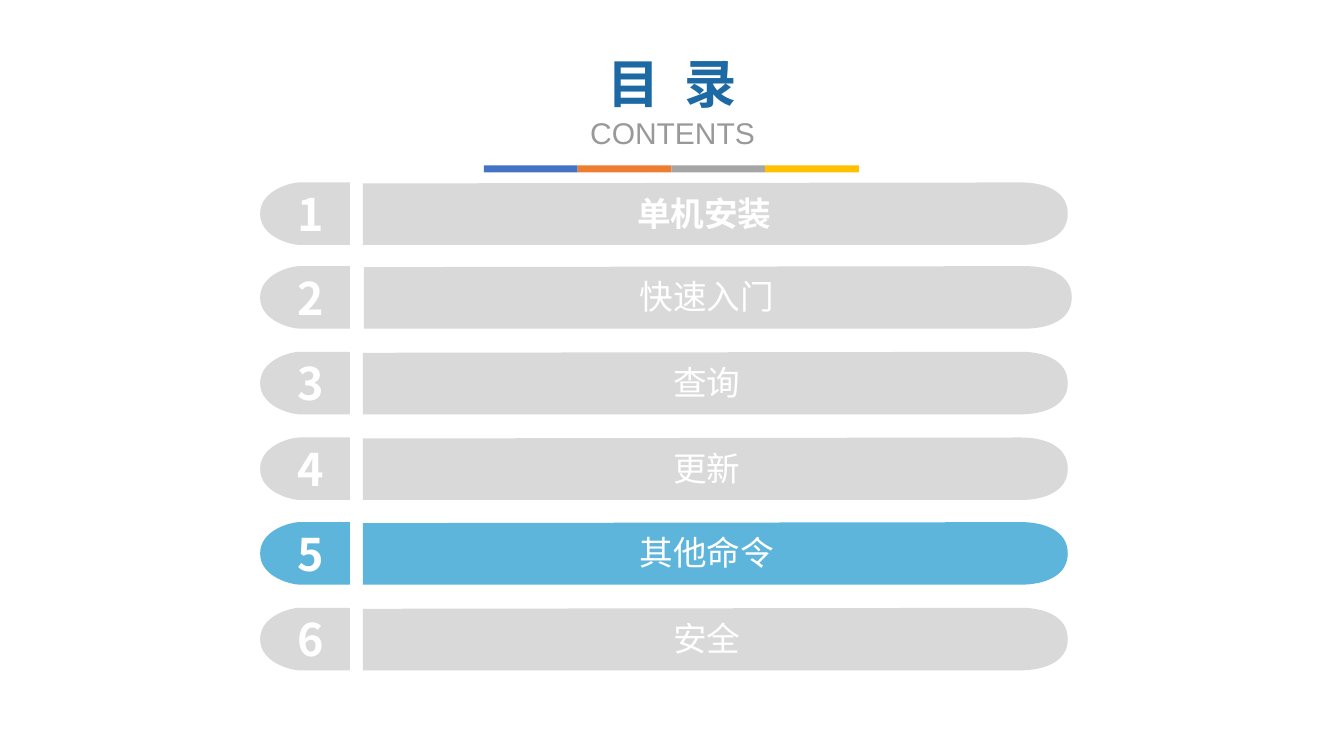
from dataclasses import dataclass

from pptx import Presentation
from pptx.dml.color import RGBColor
from pptx.enum.shapes import MSO_SHAPE
from pptx.enum.text import MSO_ANCHOR, PP_ALIGN
from pptx.oxml.ns import qn
from pptx.util import Pt

RECT = MSO_SHAPE.RECTANGLE
CENTER = PP_ALIGN.CENTER
TOP = MSO_ANCHOR.TOP
MIDDLE = MSO_ANCHOR.MIDDLE
PX = 9144  # EMU per px, 100 px to the inch


@dataclass(frozen=True)
class Theme:
    title: str = "1D69A3"
    subtitle: str = "999999"
    idle: str = "D9D9D9"
    active: str = "5DB5DB"
    white: str = "FFFFFF"
    strip: tuple = ("4472C4", "ED7D31", "A5A5A5", "FFC000")
    title_font: str = "Roboto Condensed"
    subtitle_font: str = "Arial"
    body_font: str = "Noto Sans CJK SC"
    title_size: float = 37.4
    subtitle_size: float = 21.4
    number_size: float = 32
    label_size: float = 24


THEME = Theme()

# label, top of the row, left and right edge of its bar, left and width of its label
ROWS = [
    ("单机安装", 181, 360, 1059, 366, 665),
    ("快速入门", 264, 361, 1063, 366, 670),
    ("查询", 349, 360, 1059, 364, 674),
    ("更新", 434, 360, 1059, 364, 674),
    ("其他命令", 518, 360, 1059, 364, 674),
    ("安全", 603, 360, 1059, 364, 674),
]
ACTIVE_ROW = 5
ROW_H = 62


def paint(sp, color):
    sp.shadow.inherit = False
    sp.fill.solid()
    sp.fill.fore_color.rgb = RGBColor.from_string(color)
    sp.line.fill.background()


def add_rect(s, x, y, w, h, color):
    paint(s.shapes.add_shape(RECT, x * PX, y * PX, w * PX, h * PX), color)


def add_outline(s, start, segments, color):
    """Closed outline; a segment is one point (line) or three (cubic curve)."""
    fb = s.shapes.build_freeform(*start, scale=PX)
    fb.add_line_segments([pt for seg in segments for pt in seg], close=True)
    sp = fb.convert_to_shape()
    lines = iter(list(sp._element.iter(qn("a:lnTo"))))
    for seg in segments:
        first, *rest = [next(lines) for _ in seg]
        if rest:
            curve = first.makeelement(qn("a:cubicBezTo"), {})
            first.addprevious(curve)
            for line in (first, *rest):
                curve.append(line[0])
                line.getparent().remove(line)
    paint(sp, color)


def add_cap(s, top, color):
    left, shoulder, right = 258, 297, 347
    bottom, mid = top + ROW_H, top + ROW_H // 2
    add_outline(s, (right, top), [
        [(right, bottom)],
        [(shoulder, bottom)],
        [(290, bottom), (left, bottom - 7), (left, mid)],
        [(left, top + 8), (288, top), (shoulder, top)],
    ], color)


def add_bar(s, top, left, right, color):
    shoulder = right - 46
    bottom, mid = top + ROW_H, top + ROW_H // 2
    add_outline(s, (left, top + 1), [
        [(left, bottom)],
        [(shoulder, bottom)],
        [(right - 28, bottom), (right, bottom - 6), (right, mid)],
        [(right, top + 8), (right - 24, top), (shoulder, top)],
    ], color)


def add_run(p, text, *, font, size, color, bold=False, spacing=0):
    r = p.add_run()
    r.text = text
    r.font.name = font
    r.font.size = Pt(size)
    r.font.bold = bold
    r.font.color.rgb = RGBColor.from_string(color)
    rPr = r.font._element
    rPr.find(qn("a:latin")).addnext(rPr.makeelement(qn("a:ea"), {"typeface": font}))
    if spacing:
        rPr.set("spc", str(spacing))


def add_text(s, x, y, w, h, lines, *, anchor=MIDDLE, wrap=True):
    """Centred box; each line is a text with its run format."""
    tf = s.shapes.add_textbox(x * PX, y * PX, w * PX, h * PX).text_frame
    tf.word_wrap = wrap
    tf.vertical_anchor = anchor
    for i, (text, fmt) in enumerate(lines):
        p = tf.add_paragraph() if i else tf.paragraphs[0]
        p.alignment = CENTER
        add_run(p, text, **fmt)


def add_heading(s):
    for i, color in enumerate(THEME.strip):
        add_rect(s, 480 + 373 * i // 4, 164, 93, 7, color)
    add_text(s, 559, 46, 216, 109, [
        ("目 录", dict(font=THEME.title_font, size=THEME.title_size,
                     color=THEME.title, bold=True, spacing=450)),
        ("CONTENTS", dict(font=THEME.subtitle_font, size=THEME.subtitle_size,
                          color=THEME.subtitle)),
    ], anchor=TOP)


def add_row(s, number, label, top, left, right, label_x, label_w):
    color = THEME.active if number == ACTIVE_ROW else THEME.idle
    add_bar(s, top, left, right, color)
    add_cap(s, top, color)
    body = dict(font=THEME.body_font, color=THEME.white)
    add_text(s, 284, top - 1, 48, 64,
             [(str(number), dict(body, size=THEME.number_size, bold=True))], wrap=False)
    add_text(s, label_x, top + 5, label_w, 50,
             [(label, dict(body, size=THEME.label_size, bold=number == 1))])


def main():
    prs = Presentation()
    prs.slide_width, prs.slide_height = 1333 * PX, 750 * PX
    s = prs.slides.add_slide(prs.slide_layouts[6])

    # Heading with its four-colour strip
    add_heading(s)

    # Contents rows
    for number, row in enumerate(ROWS, 1):
        add_row(s, number, *row)

    prs.save("out.pptx")


if __name__ == "__main__":
    main()
